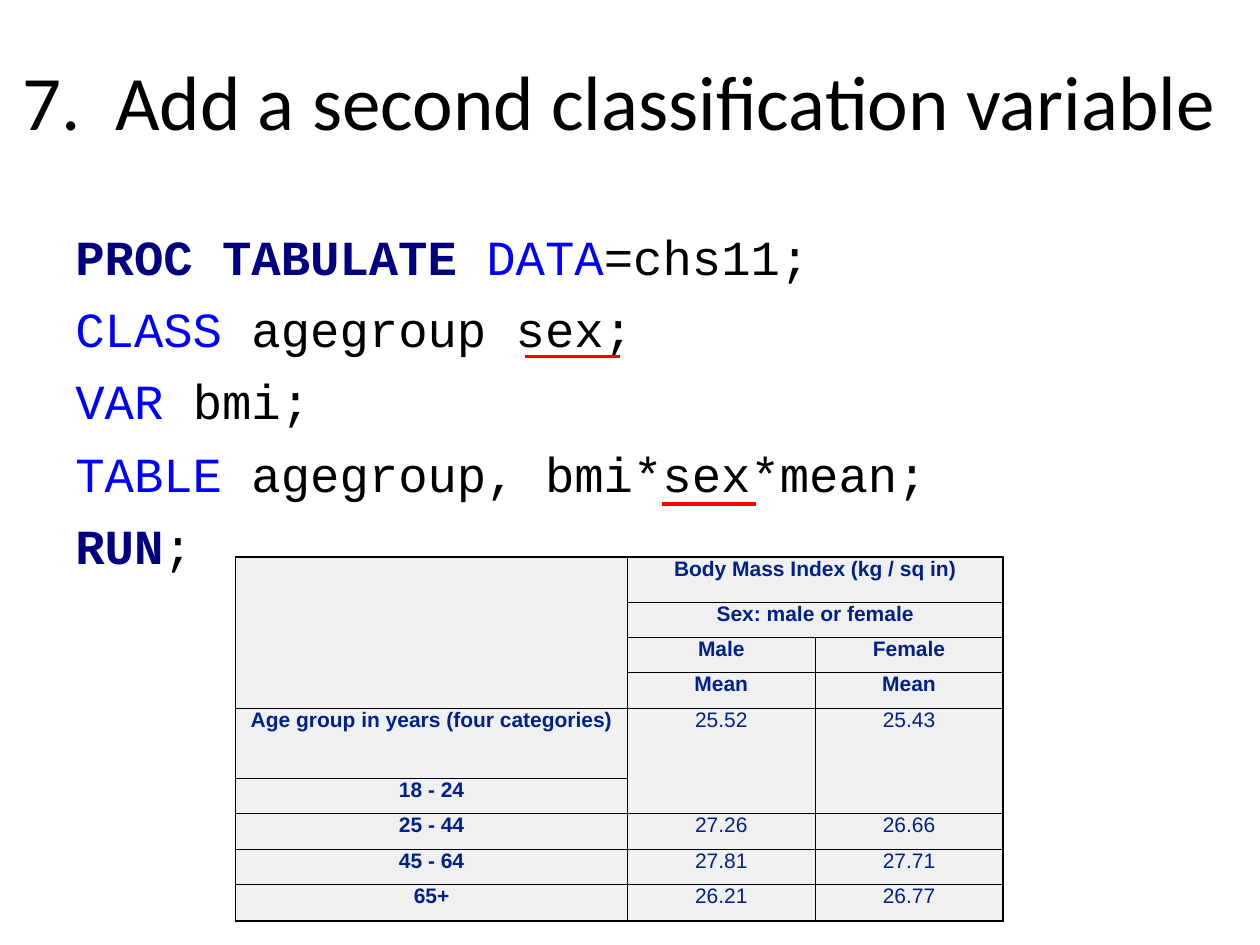
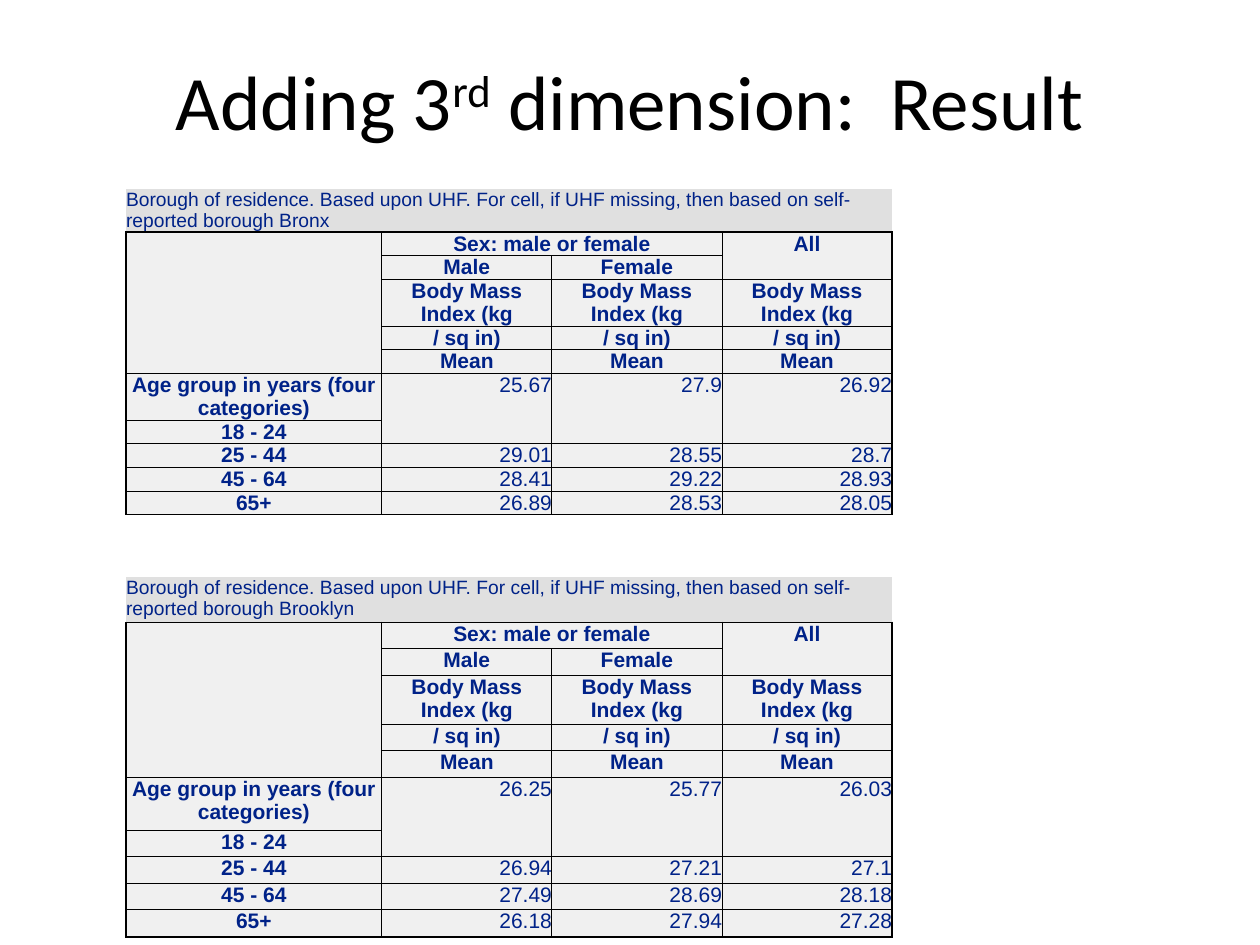
"""Build two slides on tabulating body mass index by age group, sex and borough."""
from dataclasses import dataclass
from typing import NamedTuple

from lxml import etree
from pptx import Presentation
from pptx.dml.color import RGBColor
from pptx.enum import shapes, text
from pptx.oxml import ns
from pptx.util import Inches, Pt


@dataclass(frozen=True)
class Theme:
    title_font: str = "Calibri"
    code_font: str = "Courier New"
    table_font: str = "Arial"
    title_size: float = 44
    code_size: float = 28
    code_gap: float = 7.6
    table_size: float = 12
    caption_size: float = 11
    outer_line: float = 1
    inner_line: float = 0.5
    mark_line: float = 2
    ink: str = "000000"
    step: str = "000080"
    keyword: str = "0000FF"
    mark: str = "FF0000"
    table_ink: str = "002288"
    table_fill: str = "F0F0F0"
    caption_fill: str = "E0E0E0"
    plain_table: str = "{2D5ABB26-0587-4C30-8999-92F81FD0307C}"


THEME = Theme()


class Span(NamedTuple):
    top: int
    left: int
    bottom: int
    right: int


class Box(NamedTuple):
    left: float
    top: float
    width: float
    height: float


class Piece(NamedTuple):
    words: str
    color: str = THEME.ink
    bold: bool = False
    baseline: int = 0


@dataclass(frozen=True)
class Crosstab:
    box: Box
    widths: list[float]
    heights: list[float]
    rows: list[list[str]]
    spans: list[Span]
    body_row: int
    value_align: text.PP_ALIGN
    caption_rows: int = 0
    unruled_row: int = -1

    def region(self, row: int, column: int) -> Span:
        """Return the merged area that holds a cell."""
        for span in self.spans:
            if span.top <= row <= span.bottom and span.left <= column <= span.right:
                return span
        return Span(row, column, row, column)


def add_run(paragraph, piece: Piece, font: str, size: float) -> None:
    """Append one formatted run."""
    run = paragraph.add_run()
    run.text = piece.words
    run.font.name = font
    run.font.size = Pt(size)
    run.font.bold = piece.bold
    run.font.color.rgb = RGBColor.from_string(piece.color)
    if piece.baseline:
        run.font._element.set("baseline", str(piece.baseline * 1000))


def set_title(slide, box: Box, pieces: list[Piece]) -> None:
    """Place and fill the title placeholder."""
    title = slide.shapes.title
    title.left, title.top, title.width, title.height = map(Inches, box)
    frame = title.text_frame
    frame.word_wrap = True
    frame.vertical_anchor = text.MSO_ANCHOR.MIDDLE
    paragraph = frame.paragraphs[0]
    paragraph.alignment = text.PP_ALIGN.CENTER
    for piece in pieces:
        add_run(paragraph, piece, THEME.title_font, THEME.title_size)


def add_code(slide, box: Box, lines: list[list[Piece]]) -> None:
    """Write a program listing with coloured keywords."""
    frame = slide.shapes.add_textbox(*map(Inches, box)).text_frame
    frame.word_wrap = True
    for index, line in enumerate(lines):
        paragraph = frame.add_paragraph() if index else frame.paragraphs[0]
        paragraph.space_before = Pt(THEME.code_gap)
        for piece in line:
            add_run(paragraph, piece, THEME.code_font, THEME.code_size)


def add_underline(slide, left: float, top: float, width: float = 0.75) -> None:
    """Draw a red mark below a word."""
    line = slide.shapes.add_connector(
        shapes.MSO_CONNECTOR.STRAIGHT,
        Inches(left), Inches(top), Inches(left + width), Inches(top))
    line.line.color.rgb = RGBColor.from_string(THEME.mark)
    line.line.width = Pt(THEME.mark_line)
    etree.SubElement(line._element.spPr, ns.qn("a:effectLst"))


def cell_borders(crosstab: Crosstab, row: int, column: int) -> dict[str, float]:
    """Return the border weight of each ruled side of a cell."""
    if row < crosstab.caption_rows:
        return {"B": THEME.outer_line}
    area = crosstab.region(row, column)
    is_origin = (row, column) == (area.top, area.left)
    last_row, last_column = len(crosstab.rows) - 1, len(crosstab.widths) - 1
    sides = {
        "L": (column == area.left, area.left == 0),
        "R": (column == area.right, area.right == last_column),
        "T": (row == area.top, area.top == crosstab.caption_rows),
        "B": (row == area.bottom, area.bottom == last_row),
    }
    if column and row == crosstab.unruled_row:
        del sides["B"]
    if column and row == crosstab.unruled_row + 1 and crosstab.unruled_row >= 0:
        del sides["T"]
    return {side: THEME.outer_line if outer else THEME.inner_line
            for side, (on_edge, outer) in sides.items() if is_origin or on_edge}


def rule_cell(cell, borders: dict[str, float]) -> None:
    """Add border lines ahead of the cell fill."""
    properties = cell._tc.get_or_add_tcPr()
    ruled = [side for side in "LRTB" if side in borders]
    for position, side in enumerate(ruled):
        line = etree.Element(ns.qn(f"a:ln{side}"), w=str(Pt(borders[side])))
        fill = etree.SubElement(line, ns.qn("a:solidFill"))
        etree.SubElement(fill, ns.qn("a:srgbClr"), val=THEME.ink)
        properties.insert(position, line)


def fill_cell(cell, crosstab: Crosstab, row: int, column: int) -> None:
    """Write and format one table cell."""
    is_caption = row < crosstab.caption_rows
    is_value = row >= crosstab.body_row and column > 0
    size = THEME.caption_size if is_caption else THEME.table_size
    cell.margin_left = cell.margin_right = cell.margin_top = cell.margin_bottom = 0
    cell.fill.solid()
    cell.fill.fore_color.rgb = RGBColor.from_string(
        THEME.caption_fill if is_caption else THEME.table_fill)
    rule_cell(cell, cell_borders(crosstab, row, column))
    paragraph = cell.text_frame.paragraphs[0]
    if is_caption:
        paragraph.alignment = text.PP_ALIGN.LEFT
    else:
        paragraph.alignment = crosstab.value_align if is_value else text.PP_ALIGN.CENTER
    words = crosstab.rows[row][column]
    if words:
        bold = not (is_caption or is_value)
        add_run(paragraph, Piece(words, THEME.table_ink, bold), THEME.table_font, size)
    else:
        etree.SubElement(paragraph._p, ns.qn("a:endParaRPr"), sz=str(int(size * 100)))


def add_crosstab(slide, crosstab: Crosstab) -> None:
    """Draw a table with merged headings."""
    frame = slide.shapes.add_table(
        len(crosstab.rows), len(crosstab.widths), *map(Inches, crosstab.box))
    table = frame.table
    table.first_row = table.horz_banding = False
    table._tbl.tblPr.find(ns.qn("a:tableStyleId")).text = THEME.plain_table
    for column, width in zip(table.columns, crosstab.widths):
        column.width = Inches(width)
    for row, height in zip(table.rows, crosstab.heights):
        row.height = Inches(height)
    frame.height = Inches(crosstab.box.height)
    for row in range(len(crosstab.rows)):
        for column in range(len(crosstab.widths)):
            fill_cell(table.cell(row, column), crosstab, row, column)
    for span in crosstab.spans:
        table.cell(span.top, span.left).merge(table.cell(span.bottom, span.right))


AGE_LABELS = ["Age group in years (four categories)", "18 - 24", "25 - 44", "45 - 64", "65+"]
SEX = "Sex: male or female"


def age_rows(values: list[list[str]]) -> list[list[str]]:
    """Join age labels to values, the first row of which covers two labels."""
    blank = [""] * len(values[0])
    return [[label, *row] for label, row in
            zip(AGE_LABELS, [values[0], blank, *values[1:]])]


def borough_table(name: str, box: Box, heights: list[float],
                  values: list[list[str]]) -> Crosstab:
    """Describe the result table of one borough."""
    caption = ("Borough of residence. Based upon UHF. For cell, if UHF missing, "
               f"then based on self-reported borough {name}")
    rows = [
        [caption, "", "", ""],
        ["", SEX, "", "All"],
        ["", "Male", "Female", ""],
        ["", *["Body Mass Index (kg"] * 3],
        ["", *["/ sq in)"] * 3],
        ["", *["Mean"] * 3],
        *age_rows(values),
    ]
    spans = [Span(0, 0, 0, 3), Span(1, 0, 5, 0), Span(1, 1, 1, 2), Span(1, 3, 2, 3),
             *[Span(6, column, 7, column) for column in (1, 2, 3)]]
    return Crosstab(box, [2.03, 1.35, 1.35, 1.35], heights, rows, spans, body_row=6,
                    value_align=text.PP_ALIGN.RIGHT, caption_rows=1, unruled_row=3)


def build_second_class(slide) -> None:
    """Show the program with two class variables and its table."""
    set_title(slide, Box(0.04, 0.17, 9.75, 1.25),
              [Piece("7.  Add a second classification variable")])
    add_code(slide, Box(0.5, 1.75, 9, 4.95), [
        [Piece("PROC TABULATE ", THEME.step, True), Piece("DATA", THEME.keyword),
         Piece("=chs11;")],
        [Piece("CLASS", THEME.keyword), Piece(" agegroup sex;")],
        [Piece("VAR", THEME.keyword), Piece(" bmi;")],
        [Piece("TABLE", THEME.keyword), Piece(" agegroup, bmi*sex*mean;")],
        [Piece("RUN", THEME.step, True), Piece(";")],
    ])
    add_underline(slide, 4.17, 2.83)
    add_underline(slide, 5.25, 4)
    rows = [
        ["", "Body Mass Index (kg / sq in)", ""],
        ["", SEX, ""],
        ["", "Male", "Female"],
        ["", "Mean", "Mean"],
        *age_rows([["25.52", "25.43"], ["27.26", "26.66"],
                   ["27.81", "27.71"], ["26.21", "26.77"]]),
    ]
    spans = [Span(0, 0, 3, 0), Span(0, 1, 0, 2), Span(1, 1, 1, 2),
             Span(4, 1, 5, 1), Span(4, 2, 5, 2)]
    heights = [0.36, *[0.28] * 3, 0.56, *[0.28] * 3, 0.29]
    add_crosstab(slide, Crosstab(
        Box(1.87, 4.42, 6.08, 2.87), [3.11, 1.49, 1.49], heights, rows, spans,
        body_row=4, value_align=text.PP_ALIGN.CENTER))


def build_third_dimension(slide) -> None:
    """Show one result table for each borough."""
    set_title(slide, Box(0.5, 0.17, 9, 1.25),
              [Piece("Adding 3"), Piece("rd", baseline=30), Piece(" dimension:  Result")])
    add_crosstab(slide, borough_table(
        "Bronx", Box(1, 1.5, 6.08, 2.77), [*[0.1] * 6, 0.2, *[0.1] * 4],
        [["25.67", "27.9", "26.92"], ["29.01", "28.55", "28.7"],
         ["28.41", "29.22", "28.93"], ["26.89", "28.53", "28.05"]]))
    add_crosstab(slide, borough_table(
        "Brooklyn", Box(1, 4.58, 6.08, 2.86),
        [0.36, 0.21, 0.21, 0.39, 0.21, 0.21, 0.42, *[0.21] * 3, 0.22],
        [["26.25", "25.77", "26.03"], ["26.94", "27.21", "27.1"],
         ["27.49", "28.69", "28.18"], ["26.18", "27.94", "27.28"]]))


def main() -> None:
    """Build and save the presentation."""
    presentation = Presentation()
    presentation.slide_width, presentation.slide_height = Inches(10), Inches(7.5)
    for build in (build_second_class, build_third_dimension):
        build(presentation.slides.add_slide(presentation.slide_layouts[5]))
    presentation.save("out.pptx")


main()
